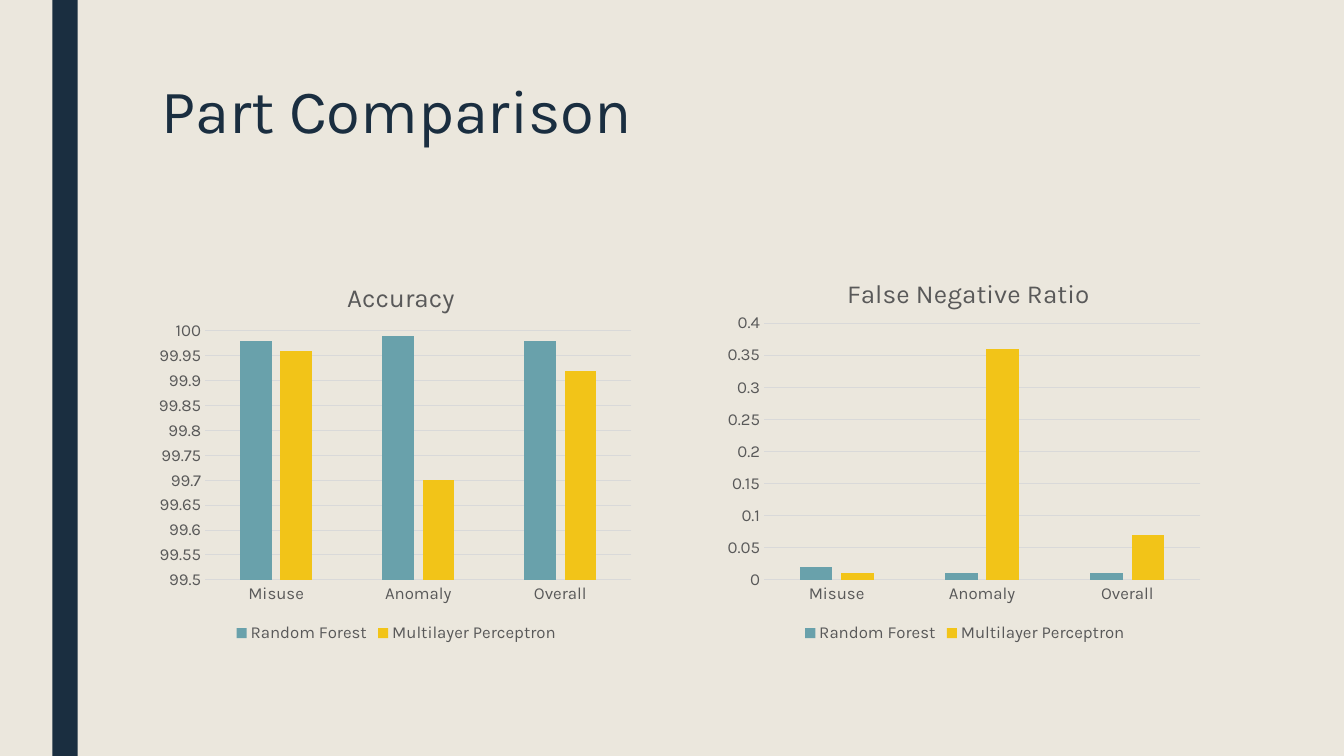
from dataclasses import dataclass

from lxml import etree
from pptx import Presentation
from pptx.chart.data import CategoryChartData
from pptx.dml.color import RGBColor
from pptx.enum.chart import XL_CHART_TYPE as ChartType
from pptx.enum.chart import XL_LEGEND_POSITION as LegendPos
from pptx.enum.chart import XL_TICK_MARK as Tick
from pptx.enum.shapes import MSO_SHAPE as Shape
from pptx.oxml import parse_xml
from pptx.oxml.ns import nsdecls, qn
from pptx.util import Inches, Pt

FONT = "Karla"
NAVY, CREAM, GRAY, GRID = "1A2E40", "EBE7DD", "595959", "D9D9D9"
CATEGORIES = ["Misuse", "Anomaly", "Overall"]
MODEL_COLORS = {"Random Forest": "69A1AB", "Multilayer Perceptron": "F2C418"}


@dataclass
class Comparison:
    title: str
    left: float
    values: list[list[float]]
    low: float
    high: float
    number_format: str
    title_at: dict[str, float]
    plot_at: dict[str, float]


COMPARISONS = [
    Comparison("Accuracy", 1.5,
               [[99.98, 99.99, 99.98], [99.96, 99.70, 99.92]],
               99.5, 100, "General",
               {"x": 0.39, "y": 0.06},
               {"x": 0.11, "y": 0.2, "w": 0.87, "h": 0.63}),
    Comparison("False Negative Ratio", 7.14,
               [[0.02, 0.01, 0.01], [0.01, 0.36, 0.07]],
               0, 0.4, "General",
               {"x": 0.25, "y": 0.05},
               {"x": 0.09, "y": 0.18, "w": 0.89, "h": 0.65}),
]


def rgb(color: str) -> RGBColor:
    return RGBColor.from_string(color)


def style_font(font, size: float, color: str) -> None:
    font.name, font.size, font.bold = FONT, Pt(size), False
    font.color.rgb = rgb(color)


def paint(fmt, color: str) -> None:
    fmt.fill.solid()
    fmt.fill.fore_color.rgb = rgb(color)


def style_line(line, color: str) -> None:
    line.color.rgb = rgb(color)
    line.width = Pt(0.75)


def add_text(s, text: str, *, left: float, top: float, width: float,
             height: float, size: float, color: str, spacing: float) -> None:
    tf = s.shapes.add_textbox(Inches(left), Inches(top), Inches(width), Inches(height)).text_frame
    tf.word_wrap = True
    p = tf.paragraphs[0]
    p.line_spacing = spacing
    r = p.add_run()
    r.text = text
    style_font(r.font, size, color)


def set_layout(layout, position: dict[str, float], inner: bool = False) -> None:
    for old in list(layout):
        layout.remove(old)
    manual = etree.SubElement(layout, qn("c:manualLayout"))
    settings = {"layoutTarget": "inner"} if inner else {}
    settings |= {"xMode": "edge", "yMode": "edge"} | position
    for tag, value in settings.items():
        etree.SubElement(manual, qn(f"c:{tag}")).set("val", str(value))


def no_fill():
    return parse_xml(f'<c:spPr {nsdecls("c", "a")}><a:noFill/><a:ln><a:noFill/></a:ln></c:spPr>')


def place_parts(chart, comparison: Comparison) -> None:
    body = chart._chartSpace.find(qn("c:chart"))
    body.addnext(no_fill())
    plot_area = body.find(qn("c:plotArea"))
    plot_area.append(no_fill())
    layout = plot_area.find(qn("c:layout"))
    if layout is None:
        layout = etree.Element(qn("c:layout"))
        plot_area.insert(0, layout)
    set_layout(layout, comparison.plot_at, inner=True)
    title = body.find(qn("c:title"))
    layout = title.find(qn("c:layout"))
    if layout is None:
        layout = etree.Element(qn("c:layout"))
        title.find(qn("c:tx")).addnext(layout)
    set_layout(layout, comparison.title_at)


def add_comparison(s, comparison: Comparison) -> None:
    data = CategoryChartData()
    data.categories = CATEGORIES
    for name, values in zip(MODEL_COLORS, comparison.values):
        data.add_series(name, values)
    chart = s.shapes.add_chart(ChartType.COLUMN_CLUSTERED, Inches(comparison.left), Inches(2.5),
                               Inches(4.86), Inches(3.92), data).chart
    style_font(chart.font, 10, "000000")

    chart.has_title = True
    p = chart.chart_title.text_frame.paragraphs[0]
    r = p.add_run()
    r.text = comparison.title
    style_font(r.font, 18.6, GRAY)

    chart.has_legend = True
    chart.legend.position = LegendPos.BOTTOM
    chart.legend.include_in_layout = False
    style_font(chart.legend.font, 12, GRAY)

    for axis in (chart.category_axis, chart.value_axis):
        axis.major_tick_mark = axis.minor_tick_mark = Tick.NONE
        style_font(axis.tick_labels.font, 12, GRAY)
    style_line(chart.category_axis.format.line, GRID)

    axis = chart.value_axis
    axis.minimum_scale, axis.maximum_scale = comparison.low, comparison.high
    axis.major_unit = 0.05
    axis.format.line.fill.background()
    style_line(axis.major_gridlines.format.line, GRID)
    axis.tick_labels.number_format = comparison.number_format
    axis.tick_labels.number_format_is_linked = False

    plot = chart.plots[0]
    plot.gap_width, plot.overlap, plot.vary_by_categories = 219, -27, False
    for series, color in zip(plot.series, MODEL_COLORS.values()):
        paint(series.format, color)
    place_parts(chart, comparison)


prs = Presentation()
prs.slide_width, prs.slide_height = Inches(13.33), Inches(7.5)
s = prs.slides.add_slide(prs.slide_layouts[6])
paint(s.background, CREAM)

sp = s.shapes.add_shape(Shape.RECTANGLE, Inches(0.52), 0, Inches(0.25), prs.slide_height)
sp.shadow.inherit = False
paint(sp, NAVY)
sp.line.fill.background()

add_text(s, "Part Comparison", left=1.5, top=0.75, width=10.5, height=1.62,
         size=44, color=NAVY, spacing=0.89)
for comparison in COMPARISONS:
    add_comparison(s, comparison)

prs.save("out.pptx")
